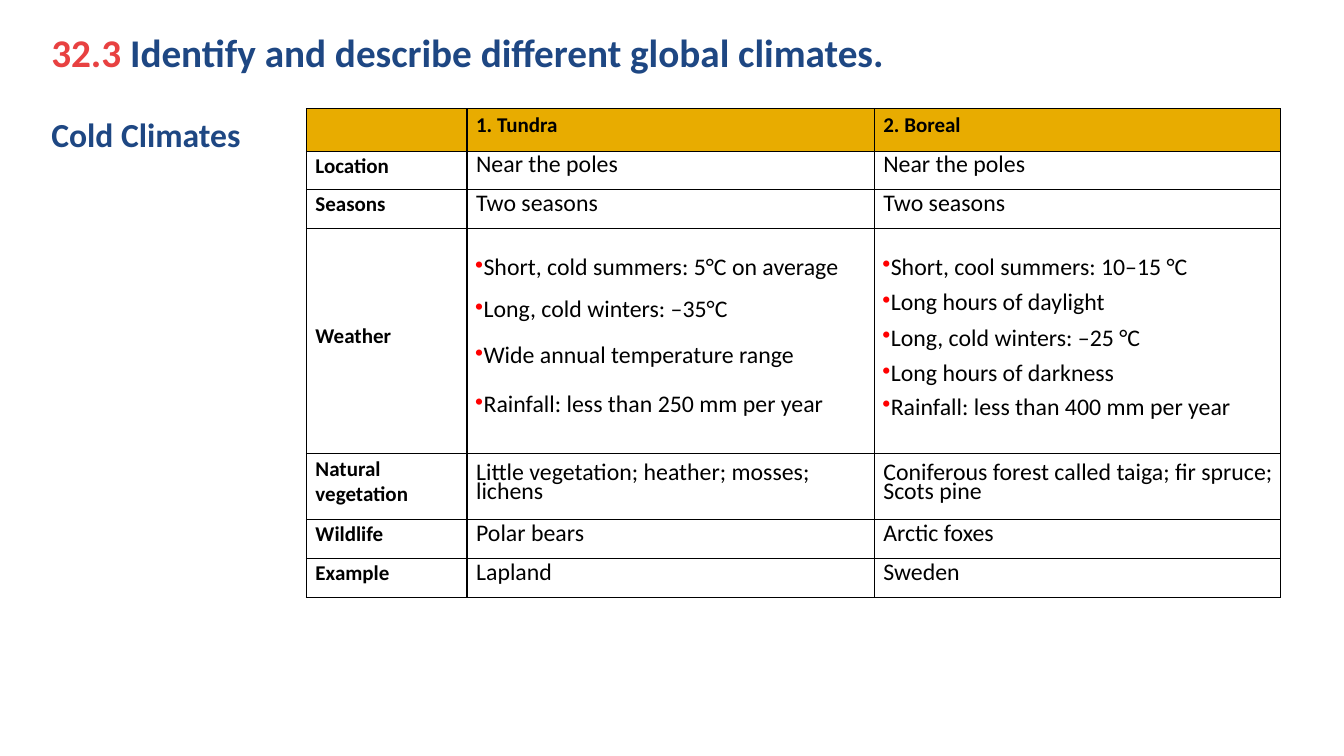
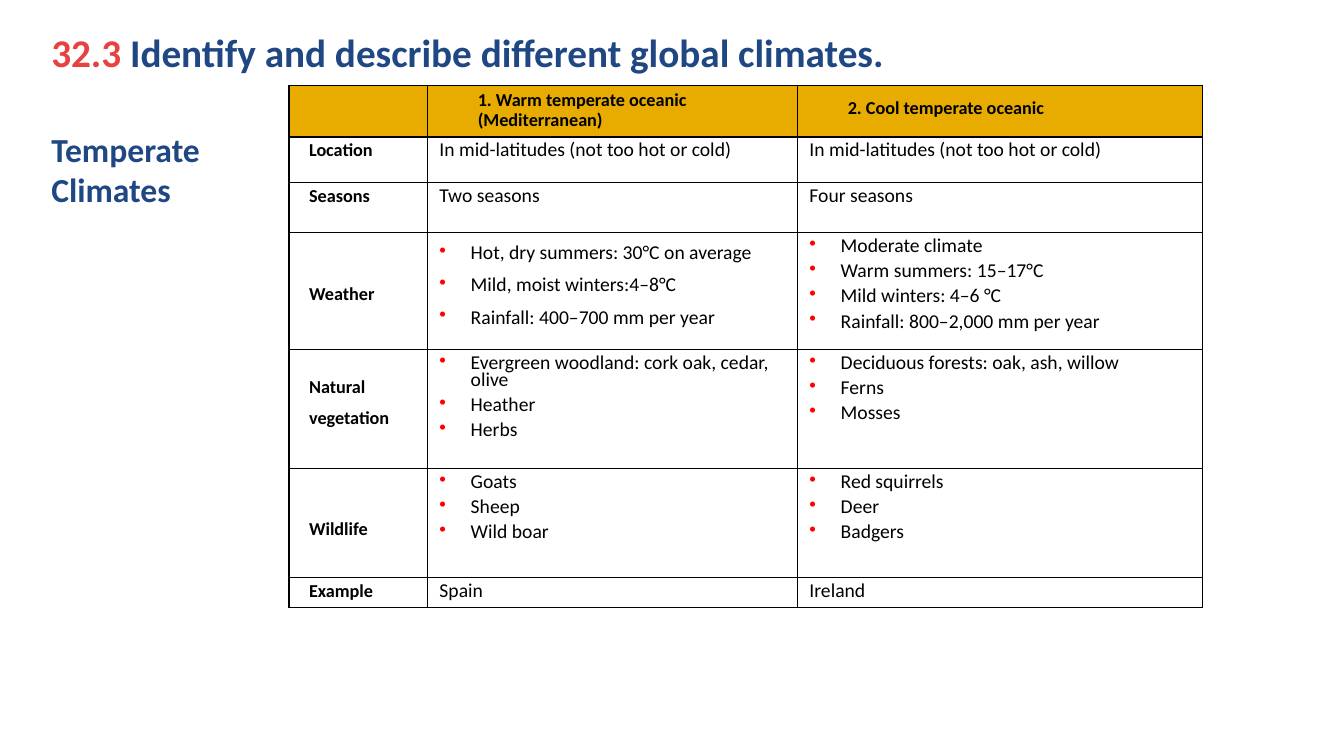
from dataclasses import dataclass, replace
from typing import Optional

from lxml.etree import SubElement
from pptx import Presentation
from pptx.dml.color import RGBColor
from pptx.enum.text import MSO_ANCHOR as Anchor, MSO_AUTO_SIZE as AutoSize
from pptx.oxml.ns import qn
from pptx.util import Inches, Pt

COLORS = {
    "number": "E84141",
    "heading": "1E4783",
    "header": "E8AC00",
    "body": "FFFFFF",
    "ink": "000000",
    "bullet": "FF0000",
}
FONT = "Calibri"
WIDTH, HEIGHT = Inches(13.33), Inches(7.5)


@dataclass(frozen=True)
class Style:
    size: float
    bold: bool = False
    color: str = "ink"
    line: Optional[float] = None
    before: float = 0
    after: float = 0
    left: float = 0
    indent: float = 0
    bullet: bool = False


@dataclass(frozen=True)
class Frame:
    anchor: Anchor
    left: float
    top: float
    right: float


@dataclass(frozen=True)
class Line:
    text: str
    style: Style


@dataclass(frozen=True)
class Cell:
    frame: Frame
    lines: tuple[Line, ...]


@dataclass(frozen=True)
class Area:
    """Left, top, width and height in percent of the slide."""
    left: float
    top: float
    width: float
    height: float


@dataclass(frozen=True)
class Climate:
    heading: tuple[str, ...]
    heading_area: Area
    heading_wraps: bool
    left: float
    top: float
    columns: tuple[float, ...]
    rows: tuple[float, ...]
    cells: tuple[tuple[Cell, ...], ...]


def across(percent: float) -> int:
    return round(WIDTH * percent / 100)


def down(percent: float) -> int:
    return round(HEIGHT * percent / 100)


def rgb(key: str) -> RGBColor:
    return RGBColor.from_string(COLORS[key])


def cell(frame: Frame, style: Style, *texts: str) -> Cell:
    return Cell(frame, tuple(Line(text, style) for text in texts))


def add_run(paragraph, text: str, style: Style) -> None:
    run = paragraph.add_run()
    run.text = text
    run.font.name = FONT
    run.font.size = Pt(style.size)
    run.font.bold = style.bold
    run.font.color.rgb = rgb(style.color)


def format_paragraph(paragraph, style: Style) -> None:
    properties = paragraph._p.get_or_add_pPr()
    properties.set("marL", str(Inches(style.left)))
    properties.set("indent", str(Inches(style.indent)))
    if style.bullet:
        tint = SubElement(properties, qn("a:buClr"))
        SubElement(tint, qn("a:srgbClr"), val=COLORS["bullet"])
        SubElement(properties, qn("a:buChar"), char="•")
    if style.line:
        paragraph.line_spacing = Pt(style.line)
    paragraph.space_before = Pt(style.before)
    paragraph.space_after = Pt(style.after)


def write_lines(frame, lines: tuple[Line, ...]) -> None:
    for index, line in enumerate(lines):
        paragraph = frame.add_paragraph() if index else frame.paragraphs[0]
        format_paragraph(paragraph, line.style)
        add_run(paragraph, line.text, line.style)


def add_text_area(slide, area: Area, wraps: bool = True):
    frame = slide.shapes.add_textbox(
        across(area.left), down(area.top), across(area.width), down(area.height)
    ).text_frame
    frame.word_wrap = wraps
    frame.auto_size = AutoSize.SHAPE_TO_FIT_TEXT
    return frame


def add_title(slide) -> None:
    paragraph = add_text_area(slide, Area(3.08, 3.07, 83.5, 7.6)).paragraphs[0]
    style = Style(28, True, "number", left=0.79, indent=-0.79)
    format_paragraph(paragraph, style)
    add_run(paragraph, "32.3 ", style)
    add_run(paragraph, "Identify and describe different global climates.",
            replace(style, color="heading"))


def draw_borders(table_cell) -> None:
    properties = table_cell._tc.get_or_add_tcPr()
    for side in ("lnL", "lnR", "lnT", "lnB"):
        border = SubElement(properties, qn(f"a:{side}"), w=str(Pt(1)))
        fill = SubElement(border, qn("a:solidFill"))
        SubElement(fill, qn("a:srgbClr"), val=COLORS["ink"])


def add_climate_table(slide, climate: Climate) -> None:
    table = slide.shapes.add_table(
        len(climate.rows), len(climate.columns),
        across(climate.left), down(climate.top),
        across(sum(climate.columns)), down(sum(climate.rows)),
    ).table
    table.first_row = table.horz_banding = False
    for column, width in zip(table.columns, climate.columns):
        column.width = across(width)
    for row_index, (height, contents) in enumerate(zip(climate.rows, climate.cells)):
        table.rows[row_index].height = down(height)
        for column_index, content in enumerate(contents):
            target = table.cell(row_index, column_index)
            draw_borders(target)
            target.fill.solid()
            target.fill.fore_color.rgb = rgb("body" if row_index else "header")
            target.vertical_anchor = content.frame.anchor
            target.margin_left = Inches(content.frame.left)
            target.margin_top = Inches(content.frame.top)
            target.margin_right = Inches(content.frame.right)
            target.margin_bottom = 0
            write_lines(target.text_frame, content.lines)


def add_climate_slide(deck, climate: Climate) -> None:
    slide = deck.slides.add_slide(deck.slide_layouts[6])
    add_title(slide)
    heading = add_text_area(slide, climate.heading_area, climate.heading_wraps)
    style = Style(24, True, "heading")
    write_lines(heading, tuple(Line(text, style) for text in climate.heading))
    add_climate_table(slide, climate)


CENTERED = Frame(Anchor.MIDDLE, 0.01, 0, 0.01)
LISTED = Frame(Anchor.MIDDLE, 0.08, 0, 0.08)
TOP = Frame(Anchor.TOP, 0.12, 0.08, 0.01)
LOWERED = replace(TOP, top=0.32)
LOWEST = replace(TOP, top=0.55)

COLD_LABEL = Style(15, True, line=12, after=10, left=0.08)
COLD_FACT = replace(COLD_LABEL, size=17, bold=False)
COLD_PLANT = replace(COLD_FACT, line=13.9)
TUNDRA_ITEM = replace(COLD_FACT, after=18, indent=-0.31, bullet=True)
BOREAL_ITEM = replace(COLD_FACT, line=15.3, indent=-0.38, bullet=True)

MILD_LABEL = replace(COLD_LABEL, size=13)
MILD_HEADER = replace(MILD_LABEL, left=0.49)
MILD_FACT = Style(14, line=12, after=6)
MILD_ITEM = replace(MILD_FACT, left=0.31, indent=-0.31, bullet=True)
LOOSE_ITEM = replace(MILD_ITEM, line=None)


def cold_row(label: str, *facts: str) -> tuple[Cell, ...]:
    return (cell(CENTERED, COLD_LABEL, label),
            *(cell(CENTERED, COLD_FACT, fact) for fact in facts))


def mild_row(label: str, *facts: str) -> tuple[Cell, ...]:
    return (cell(TOP, MILD_LABEL, label),
            *(cell(TOP, MILD_FACT, fact) for fact in facts))


COLD = Climate(
    heading=("Cold Climates",),
    heading_area=Area(3.08, 14.4, 15.75, 6.67),
    heading_wraps=False,
    left=22.8, top=14.4,
    columns=(11.95, 30.3, 30.23),
    rows=(5.6, 5.1, 5.15, 29.73, 8.8, 5.1, 5.2),
    cells=(
        (cell(CENTERED, COLD_LABEL),
         cell(CENTERED, COLD_LABEL, "1. Tundra"),
         cell(CENTERED, COLD_LABEL, "2. Boreal")),
        cold_row("Location", "Near the poles", "Near the poles"),
        cold_row("Seasons", "Two seasons", "Two seasons"),
        (cell(CENTERED, COLD_LABEL, "Weather"),
         Cell(LISTED, (
             Line("Short, cold summers: 5°C on average", replace(TUNDRA_ITEM, line=13.9)),
             Line("Long, cold winters: –35°C", TUNDRA_ITEM),
             Line("Wide annual temperature range", replace(TUNDRA_ITEM, before=3)),
             Line("Rainfall: less than 250 mm per year",
                  replace(TUNDRA_ITEM, line=13.9, before=3)))),
         Cell(LISTED, (
             Line("Short, cool summers: 10–15 °C", BOREAL_ITEM),
             Line("Long hours of daylight", BOREAL_ITEM),
             Line("Long, cold winters: –25 °C", BOREAL_ITEM),
             Line("Long hours of darkness", BOREAL_ITEM),
             Line("Rainfall: less than 400 mm per year", replace(BOREAL_ITEM, line=13.9))))),
        (Cell(CENTERED, (
            Line("Natural", replace(COLD_LABEL, after=3)),
            Line("vegetation", replace(COLD_LABEL, before=3)))),
         cell(CENTERED, COLD_PLANT, "Little vegetation; heather; mosses; lichens"),
         cell(CENTERED, COLD_PLANT, "Coniferous forest called taiga; fir spruce; Scots pine")),
        cold_row("Wildlife", "Polar bears", "Arctic foxes"),
        cold_row("Example", "Lapland", "Sweden"),
    ),
)

TEMPERATE = Climate(
    heading=("Temperate", "Climates"),
    heading_area=Area(3.08, 16.4, 15, 12.13),
    heading_wraps=True,
    left=21.5, top=11.33,
    columns=(10.3, 27.53, 30.16),
    rows=(6.8, 6, 6.67, 15.47, 15.73, 14.4, 4),
    cells=(
        (cell(CENTERED, MILD_HEADER),
         Cell(CENTERED, (Line("1. Warm temperate oceanic (Mediterranean)",
                              replace(MILD_HEADER, line=14.2)),)),
         cell(CENTERED, MILD_HEADER, "2. Cool temperate oceanic")),
        mild_row("Location", "In mid-latitudes (not too hot or cold)",
                 "In mid-latitudes (not too hot or cold)"),
        mild_row("Seasons", "Two seasons", "Four seasons"),
        (cell(LOWEST, MILD_LABEL, "Weather"),
         cell(TOP, LOOSE_ITEM, "Hot, dry summers: 30°C on average",
              "Mild, moist winters:4–8°C", "Rainfall: 400–700 mm per year"),
         cell(TOP, MILD_ITEM, "Moderate climate", "Warm summers: 15–17°C",
              "Mild winters: 4–6 °C", "Rainfall: 800–2,000 mm per year")),
        (cell(LOWERED, MILD_LABEL, "Natural", "vegetation"),
         cell(TOP, MILD_ITEM, "Evergreen woodland: cork oak, cedar, olive", "Heather", "Herbs"),
         cell(TOP, MILD_ITEM, "Deciduous forests: oak, ash, willow", "Ferns", "Mosses")),
        (cell(LOWEST, MILD_LABEL, "Wildlife"),
         cell(TOP, MILD_ITEM, "Goats", "Sheep", "Wild boar"),
         cell(TOP, MILD_ITEM, "Red squirrels", "Deer", "Badgers")),
        mild_row("Example", "Spain", "Ireland"),
    ),
)


def main() -> None:
    deck = Presentation()
    deck.slide_width, deck.slide_height = WIDTH, HEIGHT
    for climate in (COLD, TEMPERATE):
        add_climate_slide(deck, climate)
    deck.save("out.pptx")


if __name__ == "__main__":
    main()
